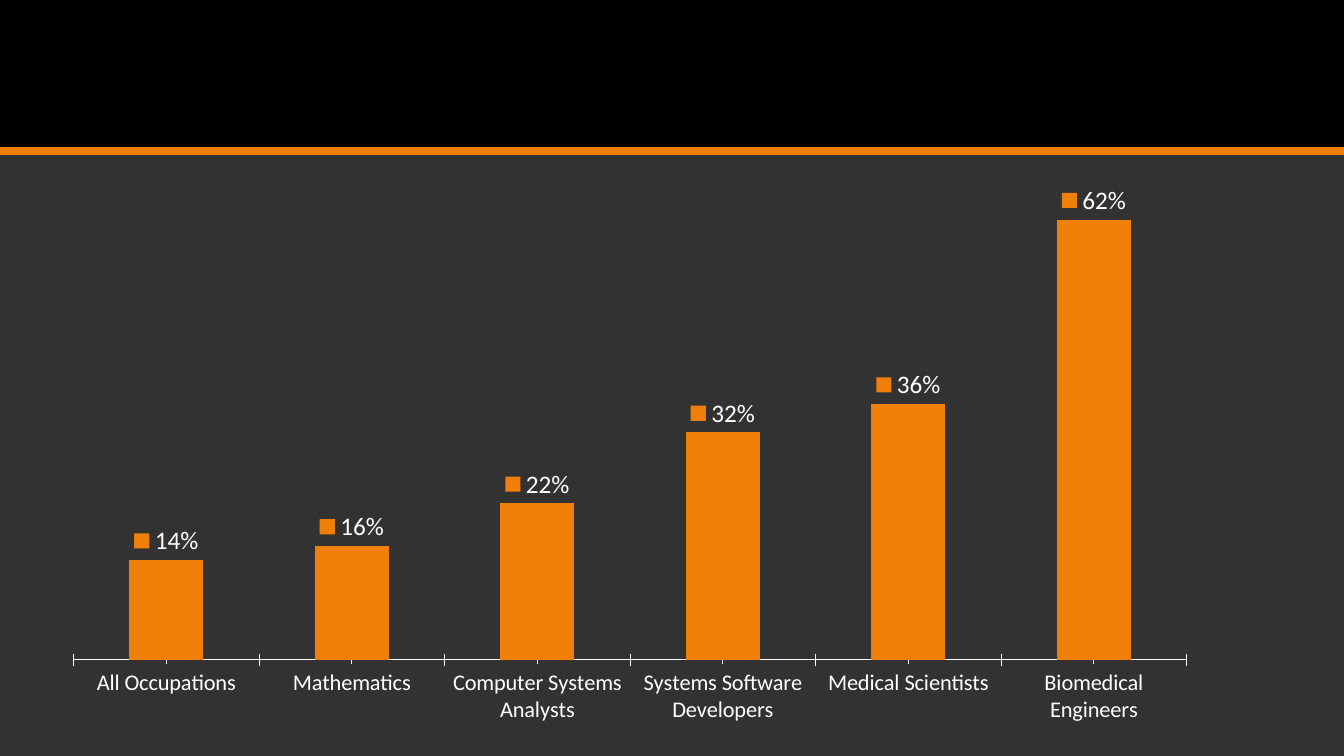
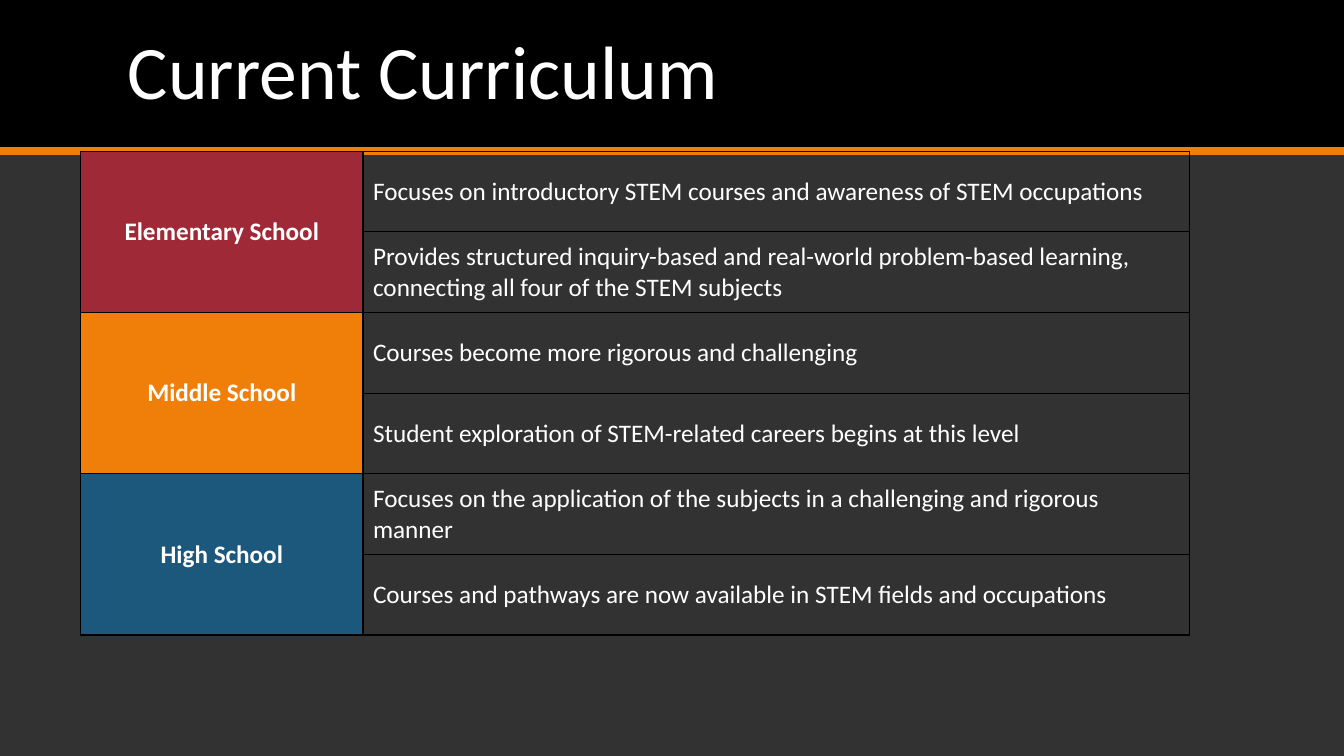
from lxml import etree
from pptx import Presentation
from pptx.chart.data import CategoryChartData
from pptx.dml.color import RGBColor
from pptx.enum.chart import XL_CHART_TYPE, XL_LABEL_POSITION, XL_TICK_MARK
from pptx.enum.shapes import MSO_CONNECTOR, MSO_SHAPE
from pptx.enum.text import MSO_ANCHOR, PP_ALIGN
from pptx.oxml.ns import qn
from pptx.util import Inches, Pt

COLUMNS = XL_CHART_TYPE.COLUMN_CLUSTERED
OUTSIDE_END = XL_LABEL_POSITION.OUTSIDE_END
TICK_CROSS, TICK_OUTSIDE = XL_TICK_MARK.CROSS, XL_TICK_MARK.OUTSIDE
STRAIGHT = MSO_CONNECTOR.STRAIGHT
RECTANGLE = MSO_SHAPE.RECTANGLE
MIDDLE = MSO_ANCHOR.MIDDLE
LEFT, CENTER = PP_ALIGN.LEFT, PP_ALIGN.CENTER

BLACK = RGBColor(0x00, 0x00, 0x00)
WHITE = RGBColor(0xFF, 0xFF, 0xFF)
CHARCOAL = RGBColor(0x32, 0x32, 0x32)
ORANGE = RGBColor(0xF0, 0x7F, 0x09)
CRIMSON = RGBColor(0x9F, 0x29, 0x36)
BLUE = RGBColor(0x1B, 0x58, 0x7C)

FONT = "Calibri"
SLIDE_W, SLIDE_H = 13.33, 7.5
BAND_H = 1.5
TITLE_BOX = (1.17, 0.14, 11, 1.2)
GROWTH_BOX = (0.5, BAND_H, 11.5, 5.8)
CURRICULUM_BOX = (0.8, BAND_H, 11, 4.8)
LEVEL_W = 2.8

JOB_GROWTH = {
    "All Occupations": 0.14,
    "Mathematics": 0.16,
    "Computer Systems Analysts": 0.22,
    "Systems Software Developers": 0.32,
    "Medical Scientists": 0.36,
    "Biomedical Engineers": 0.62,
}

CURRICULUM = [
    ("Elementary School", CRIMSON, [
        "Focuses on introductory STEM courses and awareness of STEM occupations",
        "Provides structured inquiry-based and real-world problem-based learning, "
        "connecting all four of the STEM subjects",
    ]),
    ("Middle School", ORANGE, [
        "Courses become more rigorous and challenging",
        "Student exploration of STEM-related careers begins at this level",
    ]),
    ("High School", BLUE, [
        "Focuses on the application of the subjects in a challenging and rigorous manner",
        "Courses and pathways are now available in STEM fields and occupations",
    ]),
]


def style_font(font, size):
    font.name = FONT
    font.size = Pt(size)
    font.color.rgb = WHITE


def write_text(frame, text, size=18, bold=False, align=LEFT, spacing=None):
    frame.word_wrap = True
    paragraph = frame.paragraphs[0]
    paragraph.alignment = align
    paragraph.line_spacing = spacing
    run = paragraph.add_run()
    run.text = text
    style_font(run.font, size)
    run.font.bold = bold


def add_base_slide(deck, title=None):
    slide = deck.slides.add_slide(deck.slide_layouts[6])
    background = slide.background.fill
    background.solid()
    background.fore_color.rgb = CHARCOAL

    band = slide.shapes.add_shape(RECTANGLE, 0, 0, Inches(SLIDE_W), Inches(BAND_H))
    band.shadow.inherit = False
    band.fill.solid()
    band.fill.fore_color.rgb = BLACK
    band.line.fill.background()

    rule = slide.shapes.add_connector(
        STRAIGHT, 0, Inches(BAND_H), Inches(SLIDE_W), Inches(BAND_H))
    rule.line.color.rgb = ORANGE
    rule.line.width = Pt(6)
    etree.SubElement(rule._element.spPr, qn("a:effectLst"))

    if title:
        heading = slide.shapes.add_textbox(*map(Inches, TITLE_BOX)).text_frame
        heading.vertical_anchor = MIDDLE
        write_text(heading, title, size=54, spacing=0.9)
    return slide


def add_growth_chart(slide, box):
    growth = CategoryChartData(number_format="0%")
    growth.categories = list(JOB_GROWTH)
    growth.add_series("Series 1", list(JOB_GROWTH.values()))
    chart = slide.shapes.add_chart(COLUMNS, *map(Inches, box), growth).chart
    chart.has_title = False
    chart.has_legend = False
    style_font(chart.font, 10)

    occupations = chart.category_axis
    occupations.major_tick_mark = TICK_CROSS
    occupations.minor_tick_mark = TICK_OUTSIDE
    occupations.format.line.color.rgb = WHITE
    style_font(occupations.tick_labels.font, 16)

    rates = chart.value_axis
    rates.minimum_scale, rates.maximum_scale = 0, 0.7
    rates.has_major_gridlines = False
    rates.visible = False

    plot = chart.plots[0]
    plot.gap_width = 150
    plot.vary_by_categories = False
    bars = plot.series[0]
    bars.format.fill.solid()
    bars.format.fill.fore_color.rgb = ORANGE

    labels = bars.data_labels
    labels.show_value = True
    labels.show_legend_key = True
    labels.number_format = "0%"
    labels.number_format_is_linked = False
    labels.position = OUTSIDE_END
    style_font(labels.font, 18)


def format_cell(cell, color=None):
    properties = cell._tc.get_or_add_tcPr()
    for side in ("lnL", "lnR", "lnT", "lnB"):
        border = etree.SubElement(properties, qn(f"a:{side}"), w=str(Pt(1)))
        paint = etree.SubElement(border, qn("a:solidFill"))
        etree.SubElement(paint, qn("a:srgbClr"), val=str(BLACK))
    if color is None:
        cell.fill.background()
    else:
        cell.fill.solid()
        cell.fill.fore_color.rgb = color
    cell.vertical_anchor = MIDDLE


def add_curriculum_table(slide, box):
    row_count = sum(len(points) for _, _, points in CURRICULUM)
    table = slide.shapes.add_table(row_count, 2, *map(Inches, box)).table
    table.first_row = False
    table.horz_banding = False
    table.columns[0].width = Inches(LEVEL_W)
    table.columns[1].width = Inches(box[2] - LEVEL_W)

    top = 0
    for level, color, points in CURRICULUM:
        for row, point in enumerate(points, top):
            format_cell(table.cell(row, 0), color)
            format_cell(table.cell(row, 1))
            write_text(table.cell(row, 1).text_frame, point)
        level_cell = table.cell(top, 0)
        level_cell.merge(table.cell(top + len(points) - 1, 0))
        write_text(level_cell.text_frame, level, bold=True, align=CENTER)
        top += len(points)


def main():
    deck = Presentation()
    deck.slide_width = Inches(SLIDE_W)
    deck.slide_height = Inches(SLIDE_H)
    add_growth_chart(add_base_slide(deck), GROWTH_BOX)
    add_curriculum_table(add_base_slide(deck, "Current Curriculum"), CURRICULUM_BOX)
    deck.save("out.pptx")


if __name__ == "__main__":
    main()
